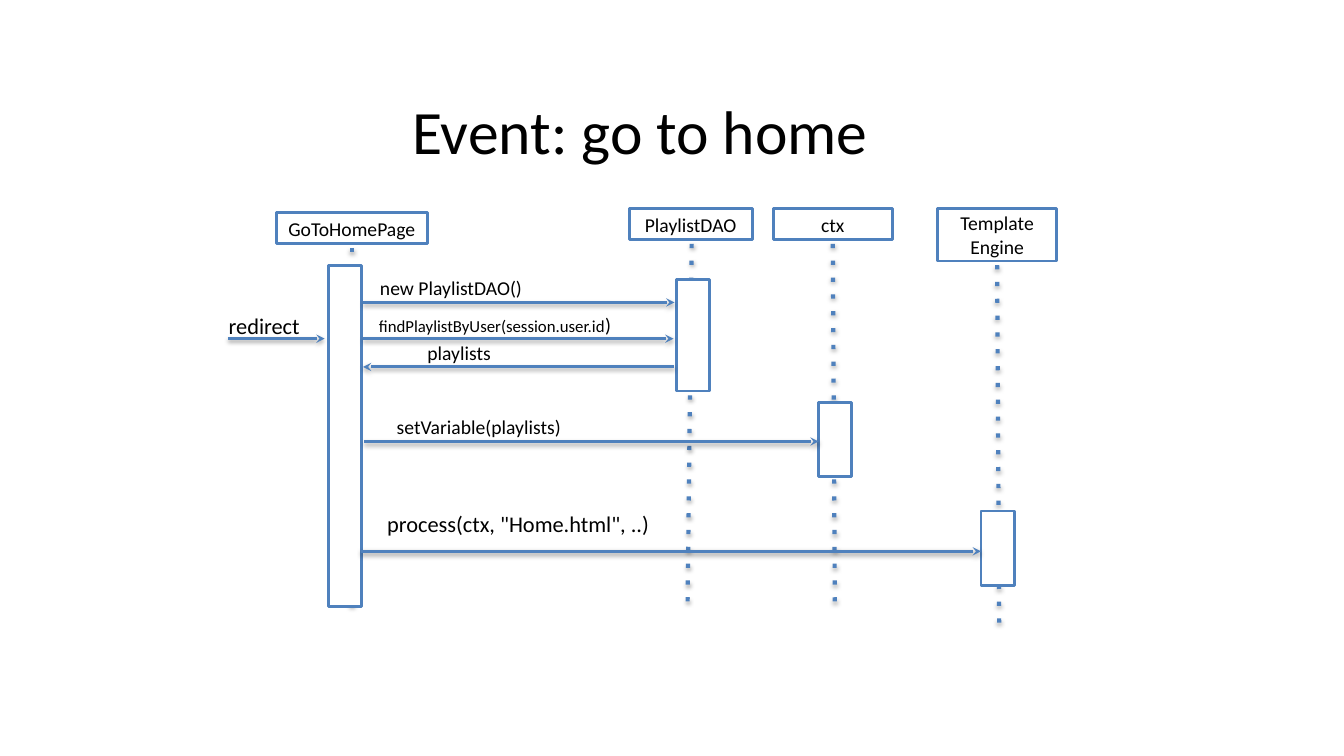
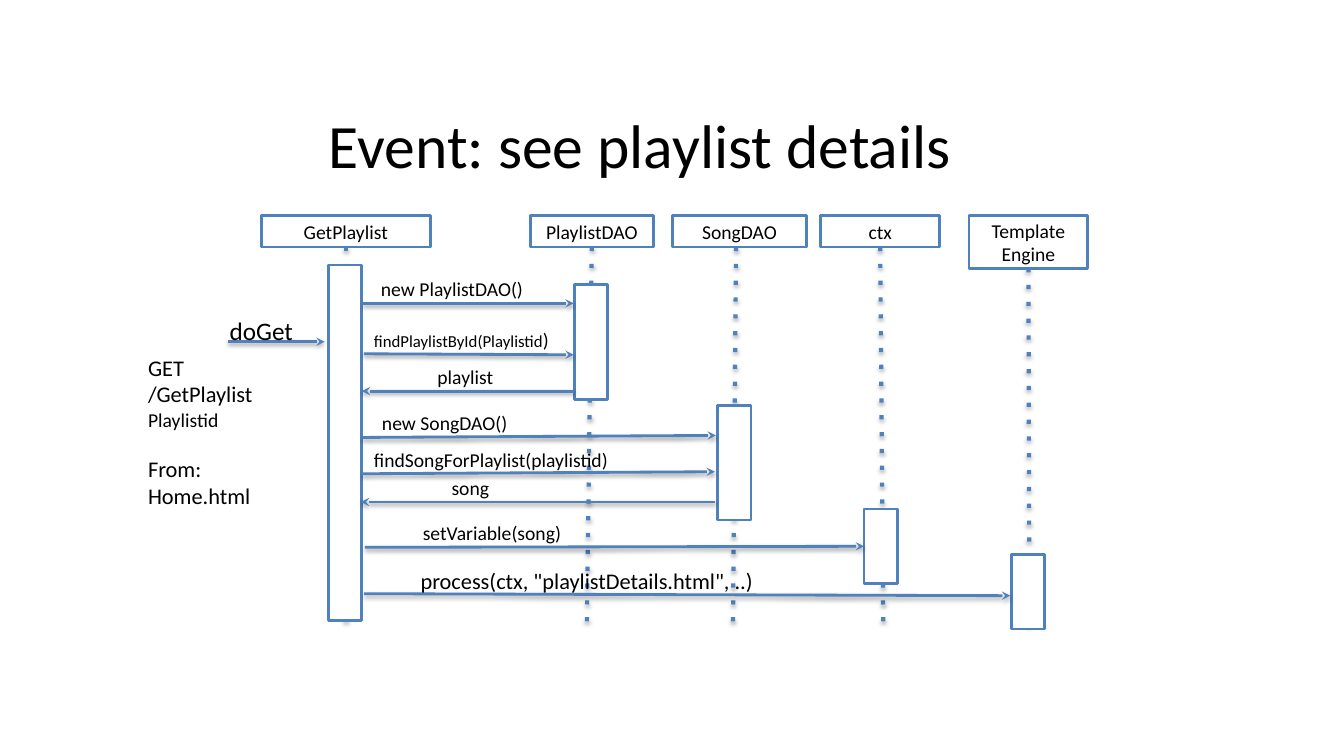
from lxml import etree
from pptx import Presentation
from pptx.dml.color import RGBColor
from pptx.enum.shapes import MSO_CONNECTOR, MSO_SHAPE
from pptx.enum.text import MSO_ANCHOR, PP_ALIGN
from pptx.oxml.ns import qn
from pptx.util import Pt

PX = 9144  # EMU per px, 100 px to the inch
SLIDE_W, SLIDE_H = 1333, 750
BLUE = RGBColor(0x4F, 0x81, 0xBD)
WHITE = RGBColor(0xFF, 0xFF, 0xFF)
BLACK = RGBColor(0, 0, 0)
FONT = "Calibri"
LEFT, CENTER = PP_ALIGN.LEFT, PP_ALIGN.CENTER
TOP, MIDDLE = MSO_ANCHOR.TOP, MSO_ANCHOR.MIDDLE
RECTANGLE, STRAIGHT = MSO_SHAPE.RECTANGLE, MSO_CONNECTOR.STRAIGHT

TITLE_X, TITLE_W, TITLE_H = 185, 900, 94
HEAD_H, TALL_HEAD_H = 31, 52
BAR_W = 33
LABEL_W, LABEL_H, LABEL_RISE = 291, 25, 31


def px(*lengths):
    return [n * PX for n in lengths]


def write(tf, lines, align=LEFT, anchor=TOP):
    """Fill a frame; each line is a list of (text, size) runs."""
    tf.word_wrap = True
    tf.vertical_anchor = anchor
    for i, runs in enumerate(lines):
        p = tf.add_paragraph() if i else tf.paragraphs[0]
        p.alignment = align
        for text, size in runs:
            r = p.add_run()
            r.text = text
            r.font.size = Pt(size)
            r.font.name = FONT
            r.font.color.rgb = BLACK


def add_text(slide, box, lines, align=LEFT, anchor=TOP):
    tf = slide.shapes.add_textbox(*px(*box)).text_frame
    write(tf, lines, align, anchor)
    return tf


def add_box(slide, box):
    s = slide.shapes.add_shape(RECTANGLE, *px(*box))
    s.shadow.inherit = False
    s.fill.solid()
    s.fill.fore_color.rgb = WHITE
    s.line.color.rgb = BLUE
    s.line.width = Pt(2)
    return s


def add_line(slide, ends, width, ending, value, distance, opacity):
    """Draw a shadowed line; ending is the a:ln child that sets its dash or head."""
    c = slide.shapes.add_connector(STRAIGHT, *px(*ends))
    c.line.color.rgb = BLUE
    c.line.width = Pt(width)
    ln = c.line._get_or_add_ln()
    attribute = "val" if ending == "a:prstDash" else "type"
    etree.SubElement(ln, qn(ending)).set(attribute, value)
    effects = etree.SubElement(c._element.spPr, qn("a:effectLst"))
    shadow = etree.SubElement(effects, qn("a:outerShdw"), blurRad=str(Pt(3.1)),
                              dist=str(Pt(distance)), dir="5400000", rotWithShape="0")
    color = etree.SubElement(shadow, qn("a:srgbClr"), val=str(BLACK))
    etree.SubElement(color, qn("a:alpha"), val=str(opacity * 1000))


def add_title(slide, y, text):
    add_text(slide, (TITLE_X, y, TITLE_W, TITLE_H), [[(text, 44)]], CENTER, MIDDLE)


def add_participant(slide, box, name, gap, life, bar):
    """Head in box, lifeline below it (shift, length, drift), bar (x, y, h)."""
    x, y, w, h = box
    shift, length, drift = life
    top, middle = y + h + gap, x + w // 2 + shift
    add_line(slide, (middle, top, middle + drift, top + length),
             3, "a:prstDash", "dot", 1.8, 35)
    head = add_box(slide, box)
    write(head.text_frame, [[(line, 14)] for line in name.split("\n")], CENTER, MIDDLE)
    bar_x, bar_y, bar_h = bar
    add_box(slide, (bar_x, bar_y, BAR_W, bar_h))


def add_message(slide, ends, runs, indent, centred_w=None, rise=LABEL_RISE):
    """Arrow with its label above, indented from the arrow's left end."""
    add_line(slide, ends, 2, "a:tailEnd", "stealth", 1.6, 38)
    x1, y1, x2, _ = ends
    label = (min(x1, x2) + indent, y1 - rise, centred_w or LABEL_W, LABEL_H)
    add_text(slide, label, [runs], CENTER if centred_w else LEFT)


def add_sequence(prs, title_y, title, gap, participants, messages):
    slide = prs.slides.add_slide(prs.slide_layouts[6])
    add_title(slide, title_y, title)
    for x, y, w, name, life, bar in participants:
        h = TALL_HEAD_H if "\n" in name else HEAD_H
        add_participant(slide, (x, y, w, h), name, gap, life, bar)
    for message in messages:
        add_message(slide, *message)
    return slide


HOME_PARTICIPANTS = [
    (274, 211, 150, "GoToHomePage", (0, 356, 0), (326, 263, 339)),
    (624, 207, 122, "PlaylistDAO", (1, 356, -4), (671, 277, 111)),
    (767, 207, 118, "ctx", (0, 356, 2), (812, 399, 74)),
    (930, 207, 118, "Template\nEngine", (0, 356, 2), (973, 507, 74)),
]
HOME_MESSAGES = [
    ((226, 336, 322, 336), [("redirect", 16)], -9),
    ((360, 300, 669, 300), [("new PlaylistDAO()", 14)], 7),
    ((360, 336, 668, 336), [("findPlaylistByUser(session.user.id", 12), (")", 14)], 6),
    ((668, 364, 360, 364), [("playlists", 14)], 54),
    ((361, 438, 812, 438), [("setVariable(playlists)", 14)], 12, 204),
    ((358, 547, 973, 547), [('process(ctx, "Home.html", ..)', 16)], 14, 284, 46),
]

DETAILS_PARTICIPANTS = [
    (259, 214, 168, "GetPlaylist", (0, 379, 0), (326, 263, 353)),
    (526, 214, 122, "PlaylistDAO", (0, 378, -5), (570, 282, 114)),
    (667, 214, 133, "SongDAO", (-3, 375, -3), (712, 402, 114)),
    (814, 214, 118, "ctx", (0, 374, 3), (857, 505, 74)),
    (961, 214, 118, "Template\nEngine", (0, 356, 1), (1003, 550, 74)),
]
DETAILS_MESSAGES = [
    ((226, 339, 322, 339), [("doGet", 18)], -8),
    ((360, 301, 569, 301), [("new PlaylistDAO()", 14)], 8),
    ((361, 351, 569, 352), [("findPlaylistById(Playlistid", 12), (")", 14)], 0),
    ((569, 388, 359, 388), [("playlist", 14)], 65),
    ((359, 434, 710, 432), [("new SongDAO()", 14)], 10),
    ((359, 470, 709, 468), [("findSongForPlaylist(playlistid)", 14)], 2),
    ((709, 498, 358, 498), [("song", 14)], 80),
    ((362, 543, 857, 542), [("setVariable(song)", 14)], 24, 204),
    ((361, 589, 1002, 591), [('process(ctx, "playlistDetails.html", ..)', 16)], 32, 378),
]
REQUEST_NOTE = [("GET", 16), ("/GetPlaylist", 16), ("Playlistid", 14),
                ("From:", 16), ("Home.html", 16)]


def add_request_note(slide, box):
    tf = add_text(slide, box, [[run] for run in REQUEST_NOTE])
    tf.paragraphs[3].space_before = Pt(17)


def main():
    prs = Presentation()
    prs.slide_width, prs.slide_height = px(SLIDE_W, SLIDE_H)
    add_sequence(prs, 82, "Event: go to home", 4, HOME_PARTICIPANTS, HOME_MESSAGES)
    details = add_sequence(prs, 96, "Event: see playlist details", 0,
                           DETAILS_PARTICIPANTS, DETAILS_MESSAGES)
    add_request_note(details, (137, 346, 193, 249))
    prs.save("out.pptx")


if __name__ == "__main__":
    main()
